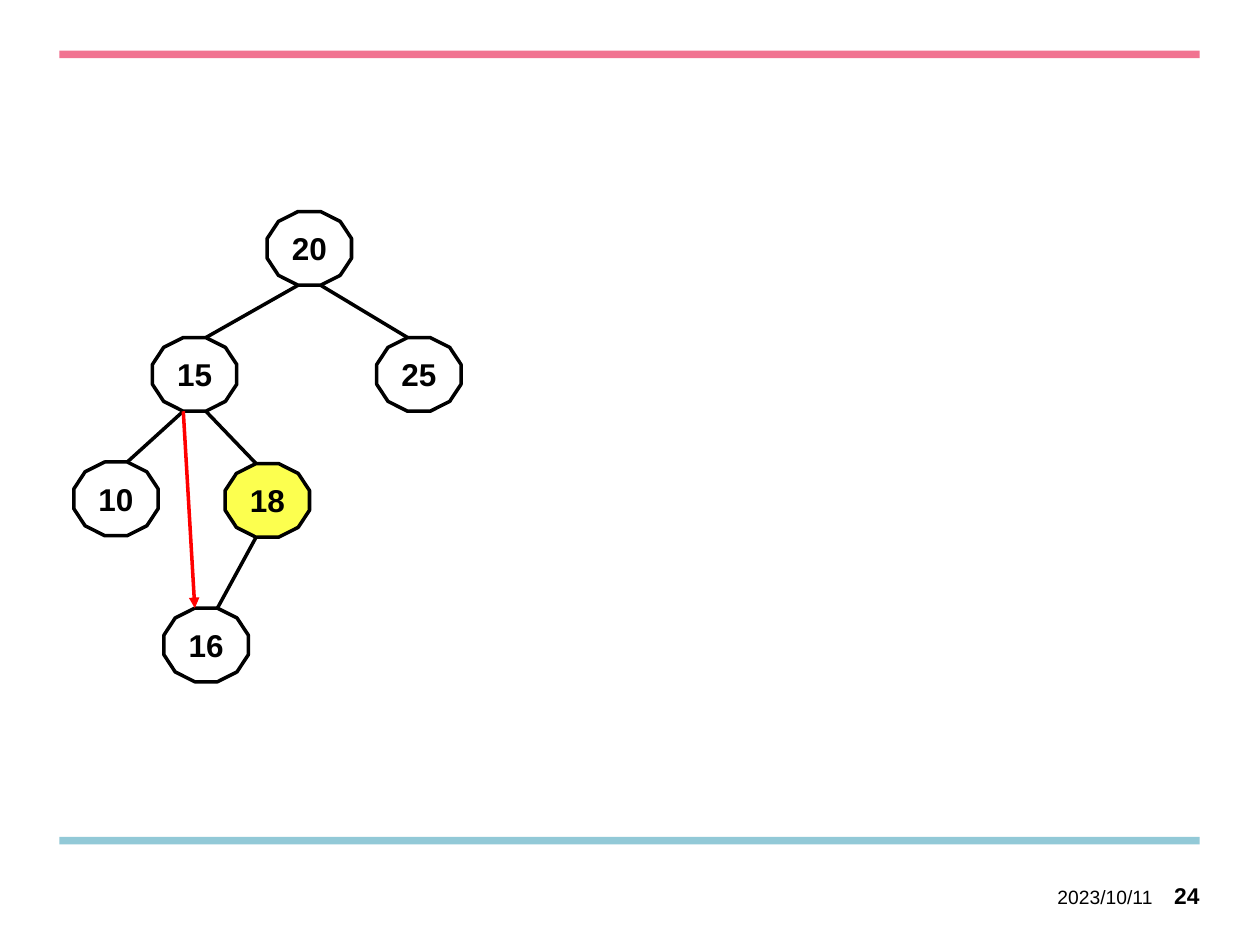
from dataclasses import dataclass

import pptx
import pptx.dml.color
import pptx.enum.shapes
import pptx.enum.text
import pptx.oxml
import pptx.oxml.ns
import pptx.util
from pptx.util import Pt

COLOURS = {
    "ink": "000000",
    "top rule": "F17391",
    "bottom rule": "92C9D7",
    "highlight": "FCFF4F",
    "arrow": "FF0000",
}
FONT = "Arial"
NODE_WIDTH, NODE_HEIGHT = 48.2, 42.1
VERTEX_OFFSET = 0.134 * NODE_WIDTH
LEFT, RIGHT = -1, 1


@dataclass(frozen=True)
class Node:
    key: str
    left: float
    top: float
    fill: str | None = None


@dataclass(frozen=True)
class Edge:
    """A line from a bottom vertex of one node to a top vertex of another."""
    parent: str
    parent_side: int
    child: str
    child_side: int
    colour: str = "ink"
    arrow: bool = False


@dataclass(frozen=True)
class Label:
    text: str
    left: float
    width: float
    size: float
    bold: bool
    anchor: pptx.enum.text.MSO_ANCHOR
    inset_top: float = 0


NODES = [
    Node("20", 152.7, 120.9),
    Node("15", 87.1, 192.9),
    Node("25", 215.3, 192.9),
    Node("10", 42.2, 264),
    Node("18", 128.7, 264.9),
    Node("16", 93.7, 347.5),
]
EDGES = [
    Edge("20", LEFT, "15", RIGHT),
    Edge("15", LEFT, "10", RIGHT),
    Edge("20", RIGHT, "25", LEFT),
    Edge("15", RIGHT, "18", LEFT),
    Edge("18", LEFT, "16", RIGHT),
    Edge("15", LEFT, "16", LEFT, "arrow", True),
]
LABELS = [
    Label("2023/10/11", 589.7, 69, 11, False, pptx.enum.text.MSO_ANCHOR.MIDDLE),
    Label("24", 657.4, 28, 13, True, pptx.enum.text.MSO_ANCHOR.TOP, 1.5),
]


def colour(name: str) -> pptx.dml.color.RGBColor:
    return pptx.dml.color.RGBColor.from_string(COLOURS[name])


def write_text(frame, text: str, size: float, bold: bool, alignment) -> None:
    para = frame.paragraphs[0]
    para.text = text
    para.alignment = alignment
    para.font.name = FONT
    para.font.size = Pt(size)
    para.font.bold = bold
    para.font.color.rgb = colour("ink")


def set_insets(frame, top: float = 0) -> None:
    frame.margin_left = frame.margin_right = frame.margin_bottom = Pt(0)
    frame.margin_top = Pt(top)


def draw_rule(page, top: float, fill: str) -> None:
    rule = page.shapes.add_shape(
        pptx.enum.shapes.MSO_SHAPE.RECTANGLE, Pt(34), Pt(top), Pt(651.6), Pt(4.3))
    rule.shadow.inherit = False
    rule.fill.solid()
    rule.fill.fore_color.rgb = colour(fill)
    rule.line.fill.background()


def draw_node(page, node: Node) -> None:
    shape = page.shapes.add_shape(
        pptx.enum.shapes.MSO_SHAPE.DODECAGON,
        Pt(node.left), Pt(node.top), Pt(NODE_WIDTH), Pt(NODE_HEIGHT))
    shape.shadow.inherit = False
    if node.fill:
        shape.fill.solid()
        shape.fill.fore_color.rgb = colour(node.fill)
    else:
        shape.fill.background()
    shape.line.color.rgb = colour("ink")
    shape.line.width = Pt(2)
    frame = shape.text_frame
    frame.word_wrap = False
    frame.vertical_anchor = pptx.enum.text.MSO_ANCHOR.MIDDLE
    set_insets(frame)
    write_text(frame, node.key, 18, True, pptx.enum.text.PP_ALIGN.CENTER)


def vertex_x(node: Node, side: int) -> float:
    return node.left + NODE_WIDTH / 2 + side * VERTEX_OFFSET


def draw_edge(page, edge: Edge, nodes: dict[str, Node]) -> None:
    parent, child = nodes[edge.parent], nodes[edge.child]
    connector = page.shapes.add_connector(
        pptx.enum.shapes.MSO_CONNECTOR.STRAIGHT,
        Pt(vertex_x(parent, edge.parent_side)), Pt(parent.top + NODE_HEIGHT),
        Pt(vertex_x(child, edge.child_side)), Pt(child.top))
    connector.line.color.rgb = colour(edge.colour)
    connector.line.width = Pt(2)
    if edge.arrow:
        head = pptx.oxml.parse_xml(
            f'<a:tailEnd {pptx.oxml.ns.nsdecls("a")} type="triangle"/>')
        connector.line._get_or_add_ln().append(head)
    connector._element.spPr.append(
        pptx.oxml.parse_xml(f'<a:effectLst {pptx.oxml.ns.nsdecls("a")}/>'))


def draw_label(page, label: Label) -> None:
    box = page.shapes.add_textbox(
        Pt(label.left), Pt(502.6), Pt(label.width), Pt(19.4))
    frame = box.text_frame
    frame.word_wrap = True
    frame.vertical_anchor = label.anchor
    set_insets(frame, label.inset_top)
    write_text(frame, label.text, label.size, label.bold,
               pptx.enum.text.PP_ALIGN.RIGHT)


def main() -> None:
    deck = pptx.Presentation()
    deck.slide_width, deck.slide_height = Pt(720), Pt(540)
    page = deck.slides.add_slide(deck.slide_layouts[6])
    draw_rule(page, 478.2, "bottom rule")
    draw_rule(page, 28.9, "top rule")
    for node in NODES:
        draw_node(page, node if node.key != "18" else
                  Node(node.key, node.left, node.top, "highlight"))
    nodes = {node.key: node for node in NODES}
    for edge in EDGES:
        draw_edge(page, edge, nodes)
    for label in LABELS:
        draw_label(page, label)
    deck.save("out.pptx")


if __name__ == "__main__":
    main()
